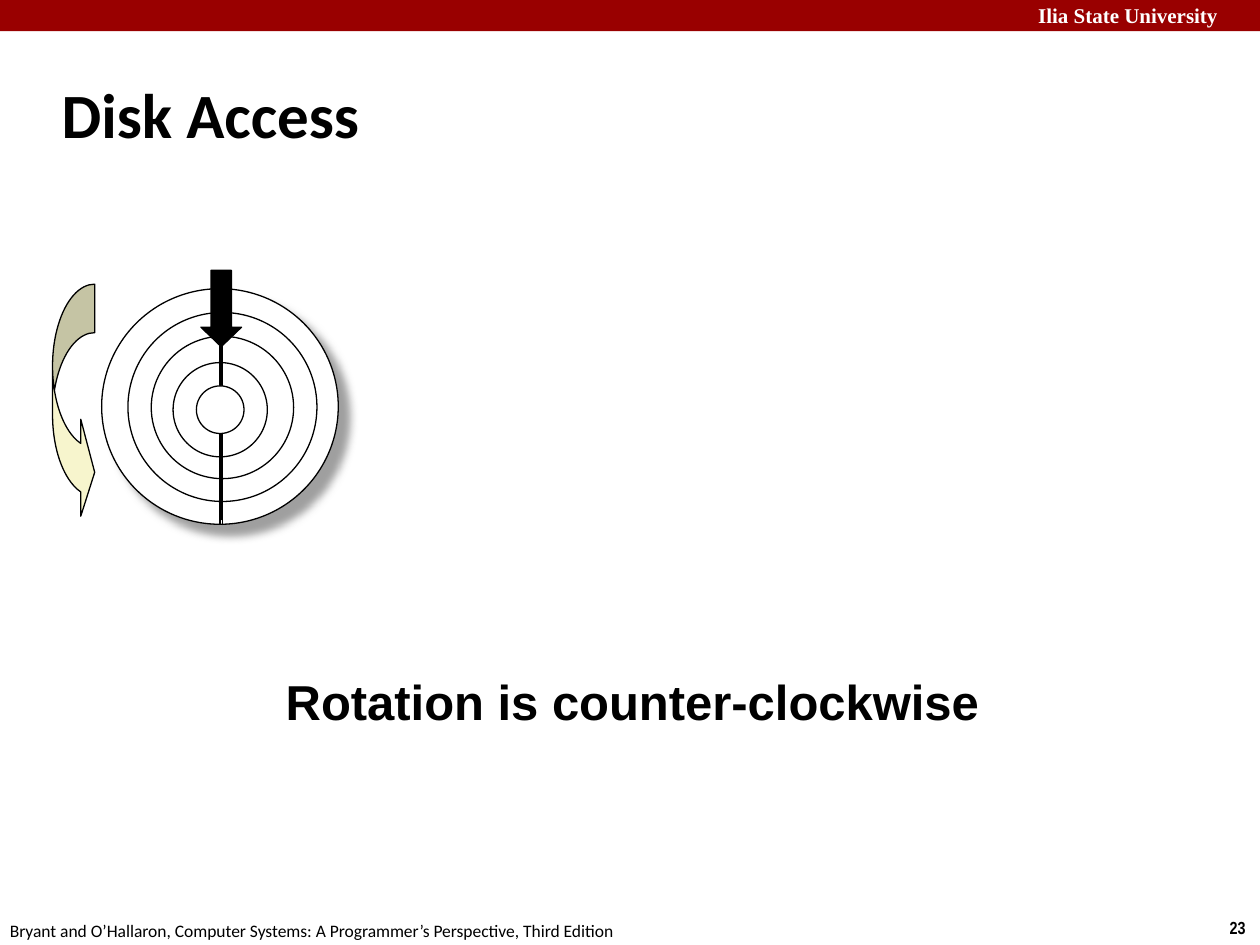
from lxml import etree
from pptx import Presentation
from pptx import util as u
from pptx.dml.color import RGBColor
from pptx.enum import shapes, text
from pptx.oxml.ns import qn

BLACK = RGBColor(0x00, 0x00, 0x00)
WHITE = RGBColor(0xFF, 0xFF, 0xFF)
RED = RGBColor(0x99, 0x00, 0x00)
CREAM = RGBColor(0xF7, 0xF5, 0xCD)
GREY = RGBColor(0x80, 0x80, 0x80)
KIND = shapes.MSO_SHAPE
ANCHOR = text.MSO_ANCHOR


class SlideBuilder:
    """Holds the line style and the current slide, and draws each kind of element."""

    line_width = u.Pt(0.75)

    def __init__(self, prs):
        self.s = prs.slides.add_slide(prs.slide_layouts[5])
        self.target = self.s.shapes

    def start_group(self):
        self.target = self.s.shapes.add_group_shape().shapes

    def end_group(self):
        self.target = self.s.shapes

    def set_text(self, sp, words, size, font, color=BLACK, bold=True, anchor=ANCHOR.TOP):
        tf = sp.text_frame
        tf.word_wrap = True
        tf.auto_size = text.MSO_AUTO_SIZE.NONE
        tf.vertical_anchor = anchor
        p = tf.paragraphs[0]
        p.text = words
        p.alignment = text.PP_ALIGN.LEFT
        p.font.size = u.Pt(size)
        p.font.name = font
        p.font.bold = bold
        p.font.color.rgb = color
        return p

    def title(self, words, x, y, w, h):
        sp = self.s.shapes.title
        sp.left, sp.top, sp.width, sp.height = map(u.Cm, (x, y, w, h))
        p = self.set_text(sp, words, 36, "Calibri", anchor=ANCHOR.MIDDLE)
        pPr = p._p.get_or_add_pPr()
        pPr.set("marL", str(u.Cm(0.33)))
        pPr.set("indent", str(-u.Cm(0.33)))

    def label(self, words, x, y, w, h, size, font, **style):
        sp = self.target.add_textbox(*map(u.Cm, (x, y, w, h)))
        self.set_text(sp, words, size, font, **style)

    def shape(self, kind, x, y, w, h, fill, outline=BLACK, adjustments=()):
        sp = self.target.add_shape(kind, *map(u.Cm, (x, y, w, h)))
        sp.shadow.inherit = False
        sp.fill.solid()
        sp.fill.fore_color.rgb = fill
        if outline is None:
            sp.line.fill.background()
        else:
            sp.line.color.rgb = outline
            sp.line.width = self.line_width
        for i, value in enumerate(adjustments):
            sp.adjustments[i] = value
        return sp

    def line(self, x1, y1, x2, y2):
        c = self.target.add_connector(
            shapes.MSO_CONNECTOR.STRAIGHT, *map(u.Cm, (x1, y1, x2, y2)))
        c.line.color.rgb = BLACK
        c.line.width = self.line_width
        etree.SubElement(c._element.spPr, qn("a:effectLst"))

    def drop_shadow(self, sp):
        effects = sp._element.spPr.find(qn("a:effectLst"))
        shadow = etree.SubElement(
            effects, qn("a:outerShdw"), blurRad=str(u.Pt(5)), dist=str(u.Pt(8.5)),
            dir="2700000", algn="ctr", rotWithShape="0")
        color = etree.SubElement(shadow, qn("a:srgbClr"), val=str(GREY))
        etree.SubElement(color, qn("a:alpha"), val="75000")


def main():
    prs = Presentation()
    prs.slide_width, prs.slide_height = u.Cm(25.4), u.Cm(19.05)
    b = SlideBuilder(prs)

    b.shape(KIND.RECTANGLE, 0, 0, 25.4, 0.63, RED, outline=None)
    b.label("Ilia State University", 20.68, -0.08, 4.9, 0.76, 12,
            "Times New Roman", color=WHITE)
    b.label("23", 24.54, 18.36, 0.88, 0.69, 10, "Arial Narrow")
    b.label("Bryant and O’Hallaron, Computer Systems: A Programmer’s Perspective, "
            "Third Edition", -0.05, 18.42, 12.9, 0.69, 10, "Calibri", bold=False)
    b.title("Disk Access", 0.99, 1.22, 21.08, 2.11)

    b.start_group()
    platter = b.shape(KIND.OVAL, 2.05, 5.82, 4.77, 4.75, WHITE)
    b.drop_shadow(platter)
    for x, y, d in ((2.58, 6.3, 3.81), (3.05, 6.78, 2.87), (3.49, 7.31, 1.9)):
        b.shape(KIND.OVAL, x, y, d, d, WHITE)
    for x, y1, y2 in ((4.44, 5.82, 10.57), (4.45, 5.82, 10.59), (4.42, 5.82, 10.59),
                      (4.43, 5.77, 10.54), (4.46, 10.49, 5.74), (4.49, 10.59, 5.82)):
        b.line(x, y1, x, y2)
    b.shape(KIND.OVAL, 3.96, 7.78, 0.96, 0.96, WHITE)
    b.end_group()

    b.shape(KIND.DOWN_ARROW, 4.05, 5.45, 0.82, 1.54, BLACK, adjustments=(0.5, 0.48))
    b.shape(KIND.CURVED_RIGHT_ARROW, 1.06, 5.73, 0.85, 4.77, CREAM,
            adjustments=(1.15, 2.3, 0.33))
    b.label("Rotation is counter-clockwise", 5.51, 12.5, 15.04, 2.34, 28, "Arial",
            anchor=ANCHOR.BOTTOM)
    prs.save("out.pptx")


if __name__ == "__main__":
    main()
